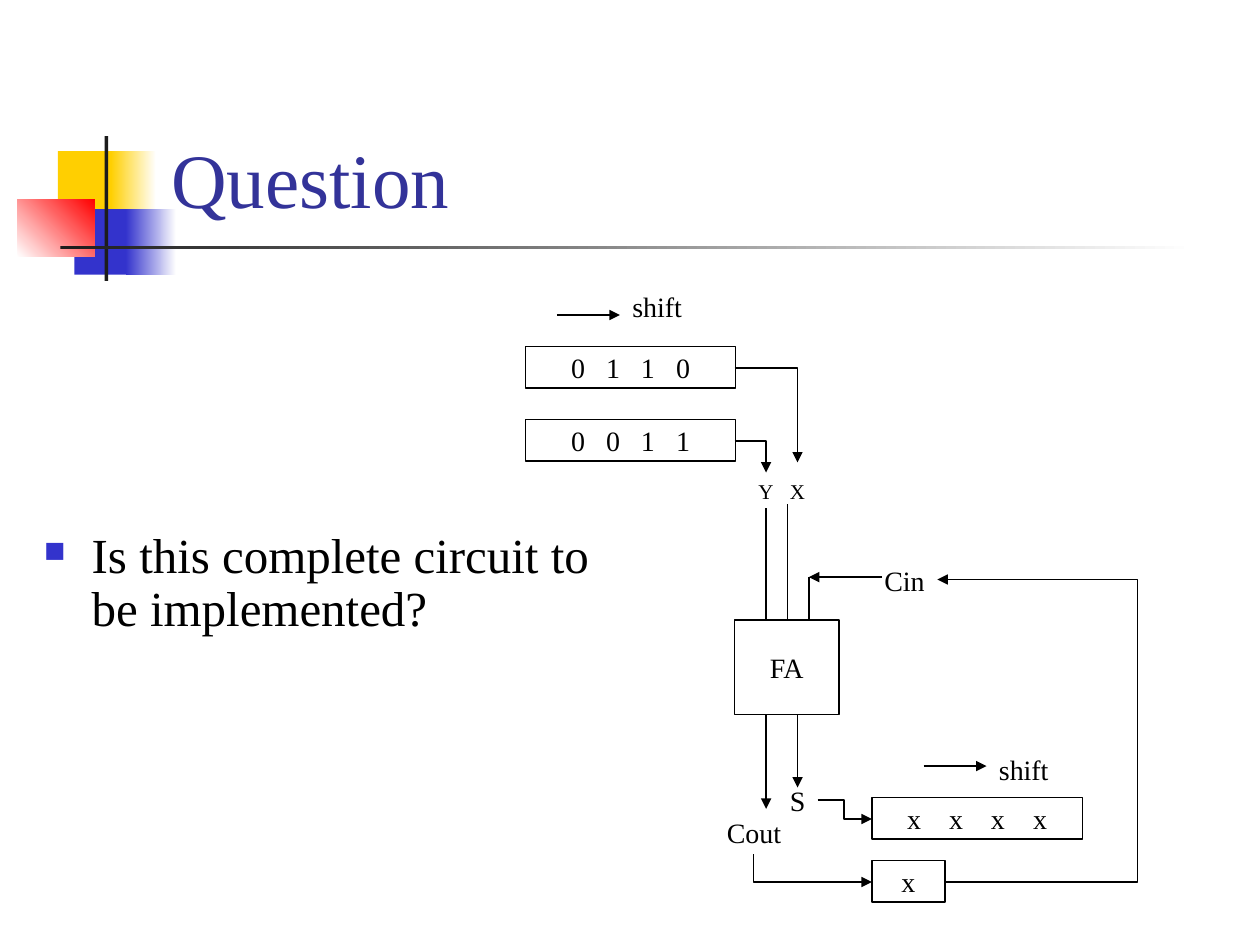
import pptx
import pptx.dml.color
import pptx.enum.shapes
import pptx.enum.text
import pptx.oxml.ns
import pptx.util
from lxml import etree

Inches = pptx.util.Inches
Pt = pptx.util.Pt
Anchor = pptx.enum.text.MSO_ANCHOR
Align = pptx.enum.text.PP_ALIGN

BLACK, WHITE, DARK = "000000", "FFFFFF", "1C1C1C"
YELLOW, BLUE, RED, TITLE_BLUE = "FFCF01", "3333CC", "FF0000", "333399"


def color(value):
    return pptx.dml.color.RGBColor.from_string(value)


def add_xml(parent, tag, **attributes):
    return etree.SubElement(parent, pptx.oxml.ns.qn(tag), attributes)


def write_text(frame, text, size=16, ink=BLACK, align=Align.LEFT, anchor=Anchor.TOP,
               wrap=False, spread=0, bullet=False):
    """Fill a text frame; spread is the extra gap in points after each letter but the last."""
    frame.word_wrap = wrap
    frame.vertical_anchor = anchor
    paragraph = frame.paragraphs[0]
    paragraph.alignment = align
    if bullet:
        properties = paragraph._p.get_or_add_pPr()
        properties.set("marL", str(Inches(0.38)))
        properties.set("indent", str(-Inches(0.38)))
        add_xml(add_xml(properties, "a:buClr"), "a:srgbClr", val=BLUE)
        add_xml(properties, "a:buSzPct", val="60000")
        add_xml(properties, "a:buChar", char="■")
        paragraph.line_spacing = 0.9
    for part, gap in ((text[:-1], spread), (text[-1], 0)) if spread else ((text, 0),):
        run = paragraph.add_run()
        run.text = part
        run.font.name = "Times New Roman"
        run.font.size = Pt(size)
        run.font.color.rgb = color(ink)
        if gap:
            run._r.get_or_add_rPr().set("spc", str(gap * 100))


class CircuitSlide:
    """Draws on one slide in the style of the adder diagram."""

    line_width = Pt(0.75)

    def __init__(self, slide):
        self.shapes = slide.shapes

    def rectangle(self, left, top, width, height):
        shape = self.shapes.add_shape(
            pptx.enum.shapes.MSO_SHAPE.RECTANGLE,
            Inches(left), Inches(top), Inches(width), Inches(height))
        shape.shadow.inherit = False
        return shape

    def block(self, left, top, width, height, start, end=None, angle=0):
        """Draw a decoration, plain or fading from start to end."""
        shape = self.rectangle(left, top, width, height)
        shape.line.fill.background()
        if end is None:
            shape.fill.solid()
            shape.fill.fore_color.rgb = color(start)
            return
        shape.fill.gradient()
        shape.fill.gradient_angle = angle
        for stop, position, value in zip(shape.fill.gradient_stops, (0, 1), (start, end)):
            stop.position = position
            stop.color.rgb = color(value)

    def box(self, left, top, width, height, text, spread=0):
        shape = self.rectangle(left, top, width, height)
        shape.fill.background()
        shape.line.color.rgb = color(BLACK)
        shape.line.width = self.line_width
        write_text(shape.text_frame, text, align=Align.CENTER, anchor=Anchor.MIDDLE,
                   spread=spread)

    def text(self, left, top, width, height, text, **style):
        shape = self.shapes.add_textbox(Inches(left), Inches(top), Inches(width), Inches(height))
        write_text(shape.text_frame, text, **style)

    def wire(self, start, end, arrow=False, elbow=False):
        kinds = pptx.enum.shapes.MSO_CONNECTOR
        connector = self.shapes.add_connector(
            kinds.ELBOW if elbow else kinds.STRAIGHT, *map(Inches, start + end))
        connector.line.color.rgb = color(BLACK)
        connector.line.width = self.line_width
        properties = connector._element.spPr
        if arrow:
            add_xml(properties.get_or_add_ln(), "a:tailEnd", type="triangle")
        add_xml(properties, "a:effectLst")
        return connector

    def corner(self, start, end, down_first=False):
        """Draw an arrow with a single bend."""
        connector = self.wire(start, end, arrow=True, elbow=True)
        properties = connector._element.spPr
        properties.find(pptx.oxml.ns.qn("a:prstGeom")).set("prst", "bentConnector2")
        if down_first:
            width, height = connector.width, connector.height
            connector.left += (width - height) // 2
            connector.top += (height - width) // 2
            connector.width, connector.height = height, width
            transform = properties.find(pptx.oxml.ns.qn("a:xfrm"))
            transform.set("rot", str(270 * 60000))
            transform.set("flipH", "1")

    def detour(self, start, end, bend_x):
        """Draw an arrow whose vertical part runs at bend_x."""
        connector = self.wire(start, end, arrow=True, elbow=True)
        geometry = connector._element.spPr.find(pptx.oxml.ns.qn("a:prstGeom"))
        for guides in geometry.findall(pptx.oxml.ns.qn("a:avLst")):
            geometry.remove(guides)
        share = round((bend_x - start[0]) / (end[0] - start[0]) * 100000)
        add_xml(add_xml(geometry, "a:avLst"), "a:gd", name="adj1", fmla=f"val {share}")


def draw_decoration(canvas):
    canvas.block(0.46, 1.2, 0.48, 0.52, YELLOW)
    canvas.block(0.88, 1.2, 0.36, 0.52, YELLOW, WHITE)
    canvas.block(0.59, 1.66, 0.46, 0.52, BLUE)
    canvas.block(1, 1.66, 0.4, 0.52, BLUE, WHITE)
    canvas.block(0.14, 1.58, 0.61, 0.46, WHITE, RED, angle=45)
    canvas.block(0.83, 1.08, 0.03, 1.15, DARK)
    canvas.block(0.48, 1.95, 9, 0.03, DARK, WHITE)


def draw_adder(canvas):
    y_in, x_in, carry_in, sum_out = 6.08, 6.25, 6.42, 6.33
    canvas.box(5.83, 4.92, 0.83, 0.75, "FA")
    for x in (carry_in, x_in, y_in):
        canvas.wire((x, 4.92), (x, 4.58))
    for x in (sum_out, y_in):
        canvas.wire((x, 6), (x, 5.67))
    canvas.wire((x_in, 4.58), (x_in, 4))
    canvas.wire((y_in, 4.61), (y_in, 4.03))
    canvas.wire((sum_out, 6), (sum_out, 6.25), arrow=True)
    canvas.wire((y_in, 6), (y_in, 6.42), arrow=True)
    canvas.wire((7, 4.58), (carry_in, 4.58), arrow=True)
    canvas.text(6.17, 3.75, 0.32, 0.3, "X", size=12)
    canvas.text(5.92, 3.75, 0.32, 0.3, "Y", size=12)
    canvas.text(6.17, 6.17, 0.32, 0.37, "S")
    canvas.text(6.92, 4.42, 0.52, 0.37, "Cin")
    canvas.text(5.67, 6.42, 0.63, 0.37, "Cout")


def draw_registers(canvas):
    for left, top, bits, spread in ((4.17, 2.75, "0 1 1 0", 4),
                                    (4.17, 3.33, "0 0 1 1", 4),
                                    (6.92, 6.33, "x x x x", 6)):
        canvas.box(left, top, 1.67, 0.33, bits, spread=spread)
    canvas.box(6.92, 6.83, 0.58, 0.33, "x")
    for left, arrow_y, label_top in ((4.42, 2.5, 2.25), (7.33, 6.08, 5.92)):
        canvas.wire((left, arrow_y), (left + 0.5, arrow_y), arrow=True)
        canvas.text(left + 0.5, label_top, 0.64, 0.37, "shift")
    canvas.corner((5.83, 2.92), (6.33, 3.67))
    canvas.corner((5.83, 3.5), (6.08, 3.75))
    canvas.detour((6.49, 6.35), (6.92, 6.5), bend_x=6.7)
    canvas.corner((5.98, 6.78), (6.92, 7), down_first=True)
    canvas.detour((7.5, 7), (7.44, 4.6), bend_x=9.03)


def main():
    presentation = pptx.Presentation()
    presentation.slide_width = Inches(10)
    presentation.slide_height = Inches(7.5)
    canvas = CircuitSlide(presentation.slides.add_slide(presentation.slide_layouts[6]))
    draw_decoration(canvas)
    canvas.text(1.26, 0.23, 8.52, 1.6, "Question", size=44, ink=TITLE_BLUE,
                anchor=Anchor.BOTTOM, wrap=True)
    canvas.text(0.25, 4.17, 4.67, 1, "Is this complete circuit to be implemented?",
                size=28, wrap=True, bullet=True)
    draw_adder(canvas)
    draw_registers(canvas)
    presentation.save("out.pptx")


if __name__ == "__main__":
    main()
